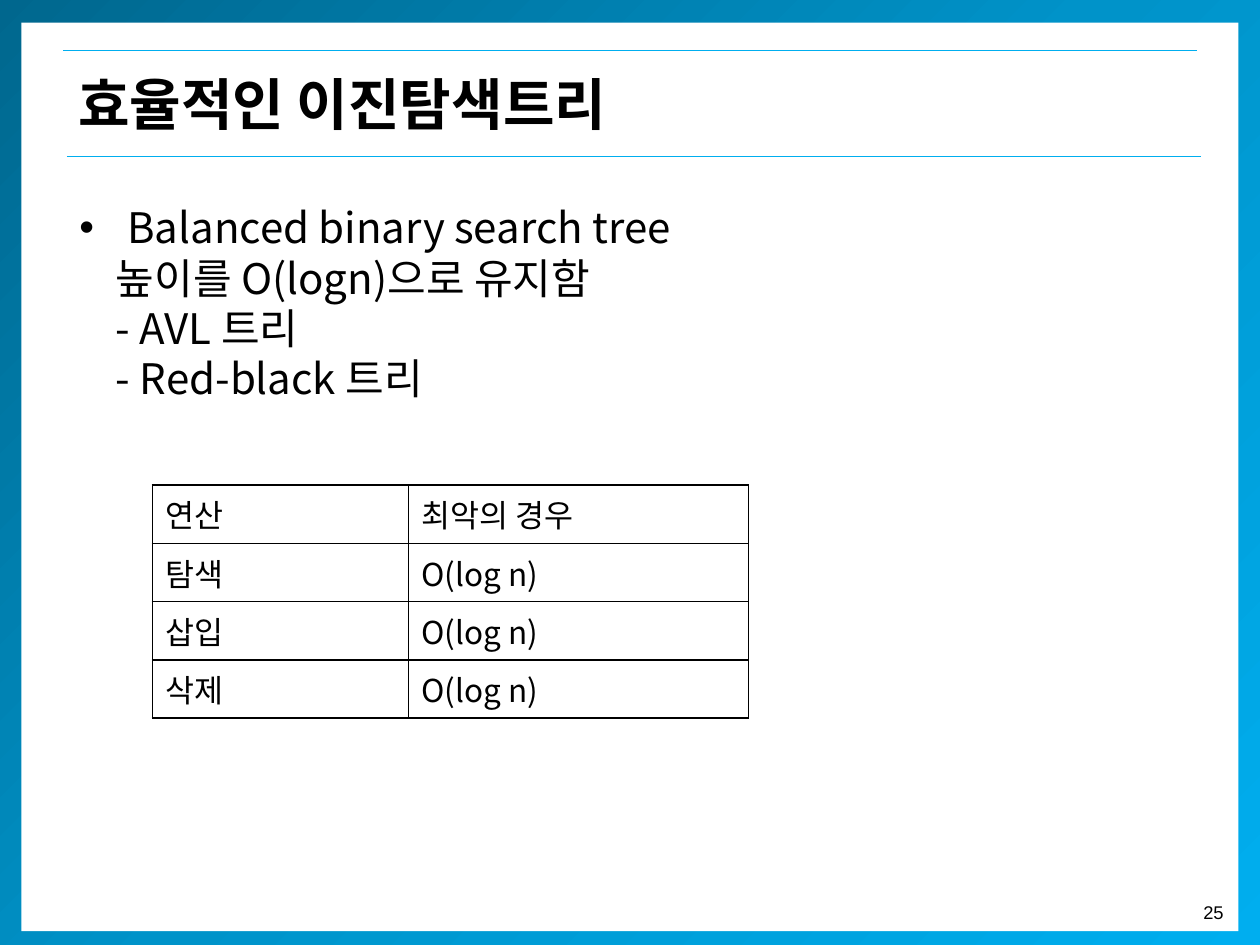
from lxml.etree import SubElement
from pptx import Presentation
from pptx.dml.color import RGBColor
from pptx.enum.shapes import MSO_CONNECTOR, MSO_SHAPE
from pptx.enum.text import MSO_ANCHOR, MSO_AUTO_SIZE, PP_ALIGN
from pptx.oxml import parse_xml
from pptx.oxml.ns import nsdecls, qn
from pptx.util import Inches, Pt

BLACK = RGBColor(0x00, 0x00, 0x00)
WHITE = RGBColor(0xFF, 0xFF, 0xFF)
DEEP = RGBColor(0x00, 0x67, 0x8E)
MID = RGBColor(0x00, 0x93, 0xC9)
SKY = RGBColor(0x00, 0xAE, 0xEF)
KOREAN = "Noto Sans CJK KR"
WIDTH, HEIGHT = 10, 7.5
LINES = ["Balanced binary search tree", "높이를 O(logn)으로 유지함",
         "- AVL 트리", "- Red-black 트리"]
ROWS = [("연산", "최악의 경우"), ("탐색", "O(log n)"),
        ("삽입", "O(log n)"), ("삭제", "O(log n)")]


def add_run(p, text, size, font=KOREAN, bold=False):
    r = p.add_run()
    r.text = text
    r.font.size = Pt(size)
    r.font.name = font
    r.font.bold = bold
    r.font.color.rgb = BLACK
    SubElement(r.font._element, qn("a:ea"), typeface=font)


def place(sp, box):
    sp.left, sp.top, sp.width, sp.height = map(Inches, box)


def add_panel(s, box):
    sp = s.shapes.add_shape(MSO_SHAPE.RECTANGLE, *map(Inches, box))
    sp.shadow.inherit = False
    sp.line.fill.background()
    sp.fill.solid()
    sp.fill.fore_color.rgb = WHITE
    return sp


def add_frame(s, box):
    left, top, width, height = box
    border = add_panel(s, box)
    stops = "".join(
        f'<a:gs pos="{pos}"><a:srgbClr val="{color}"/></a:gs>'
        for pos, color in ((0, DEEP), (50000, MID), (100000, SKY)))
    solid = border._element.spPr.find(qn("a:solidFill"))
    solid.getparent().replace(solid, parse_xml(
        f'<a:gradFill {nsdecls("a")} rotWithShape="1"><a:gsLst>{stops}</a:gsLst>'
        '<a:lin ang="2700000" scaled="0"/></a:gradFill>'))
    add_panel(s, (left + 0.17, top + 0.22, width - 0.34, height - 0.38))


def add_rule(s, left, top, width):
    line = s.shapes.add_connector(
        MSO_CONNECTOR.STRAIGHT, Inches(left), Inches(top),
        Inches(left + width), Inches(top))
    line.line.color.rgb = SKY
    line.line.width = Pt(0.75)
    SubElement(line._element.spPr, qn("a:effectLst"))


def add_page_number(s, box, number):
    sp = s.shapes.add_textbox(*map(Inches, box))
    tf = sp.text_frame
    tf.word_wrap = False
    p = tf.paragraphs[0]
    p.alignment = PP_ALIGN.RIGHT
    add_run(p, number, 10.5, "Arial")


def fill_title(s, box):
    left, top, width, height = box
    add_rule(s, left - 0.02, top, 0.9 * WIDTH)
    add_rule(s, left + 0.01, top + height, 0.9 * WIDTH)
    sp = s.shapes.title
    place(sp, box)
    sp._element.getparent().append(sp._element)
    tf = sp.text_frame
    tf.auto_size = MSO_AUTO_SIZE.NONE
    tf.vertical_anchor = MSO_ANCHOR.MIDDLE
    p = tf.paragraphs[0]
    p.alignment = PP_ALIGN.LEFT
    add_run(p, "효율적인 이진탐색트리", 32, bold=True)


def fill_body(s, box):
    sp = s.placeholders[1]
    place(sp, box)
    sp._element.getparent().append(sp._element)
    tf = sp.text_frame
    tf.auto_size = MSO_AUTO_SIZE.NONE
    for i, text in enumerate(LINES):
        p = tf.add_paragraph() if i else tf.paragraphs[0]
        p.line_spacing = 0.8
        p.space_before = Pt(5.6)
        pPr = p._p.get_or_add_pPr()
        pPr.set("marL", str(Inches(0.29 if i else 0.38)))
        pPr.set("indent", str(Inches(0 if i else -0.38)))
        if i:
            SubElement(pPr, qn("a:buNone"))
        else:
            SubElement(pPr, qn("a:buFont"), typeface="Arial")
            SubElement(pPr, qn("a:buChar"), char="•")
        add_run(p, text, 24)


def add_borders(cell):
    tcPr = cell._tc.get_or_add_tcPr()
    for i, side in enumerate(("lnL", "lnR", "lnT", "lnB")):
        tcPr.insert(i, parse_xml(
            f'<a:{side} {nsdecls("a")} w="{Pt(1)}"><a:solidFill>'
            f'<a:srgbClr val="{BLACK}"/></a:solidFill></a:{side}>'))


def add_cost_table(s, box):
    width, height = box[2:]
    table = s.shapes.add_table(len(ROWS), 2, *map(Inches, box)).table
    table.first_row = table.horz_banding = False
    for column, share in zip(table.columns, (0.43, 0.57)):
        column.width = Inches(width * share)
    for i, row in enumerate(ROWS):
        table.rows[i].height = Inches(height / len(ROWS))
        for j, text in enumerate(row):
            cell = table.cell(i, j)
            cell.fill.background()
            add_borders(cell)
            add_run(cell.text_frame.paragraphs[0], text, 18)


def main():
    prs = Presentation()
    prs.slide_width, prs.slide_height = Inches(WIDTH), Inches(HEIGHT)
    s = prs.slides.add_slide(prs.slide_layouts[1])
    add_frame(s, (0, -0.04, WIDTH, HEIGHT + 0.09))
    add_page_number(s, (9.42, 7.1, 0.39, 0.28), "25")
    fill_title(s, (0.52, 0.4, 9.07, 0.84))
    fill_body(s, (0.53, 1.63, 9, 4.95))
    add_cost_table(s, (1.21, 3.85, 4.73, 1.85))
    prs.save("out.pptx")


if __name__ == "__main__":
    main()
